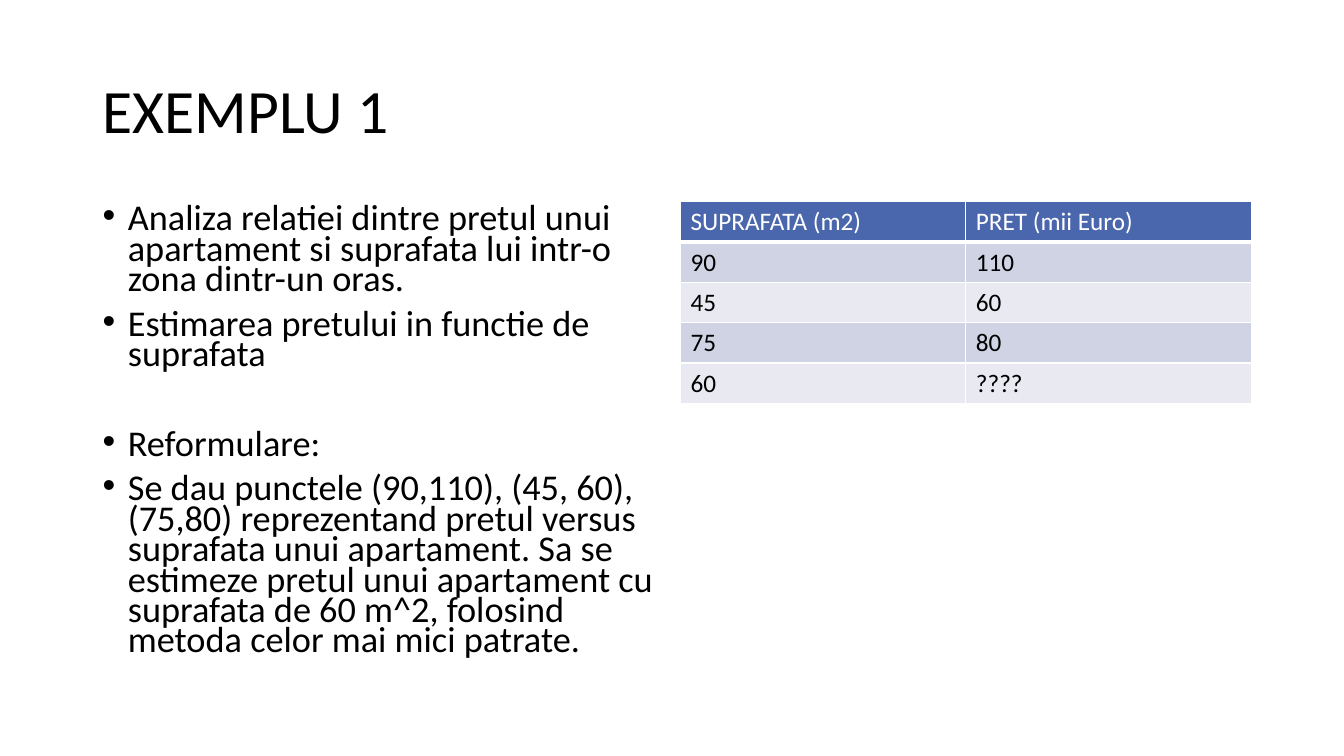
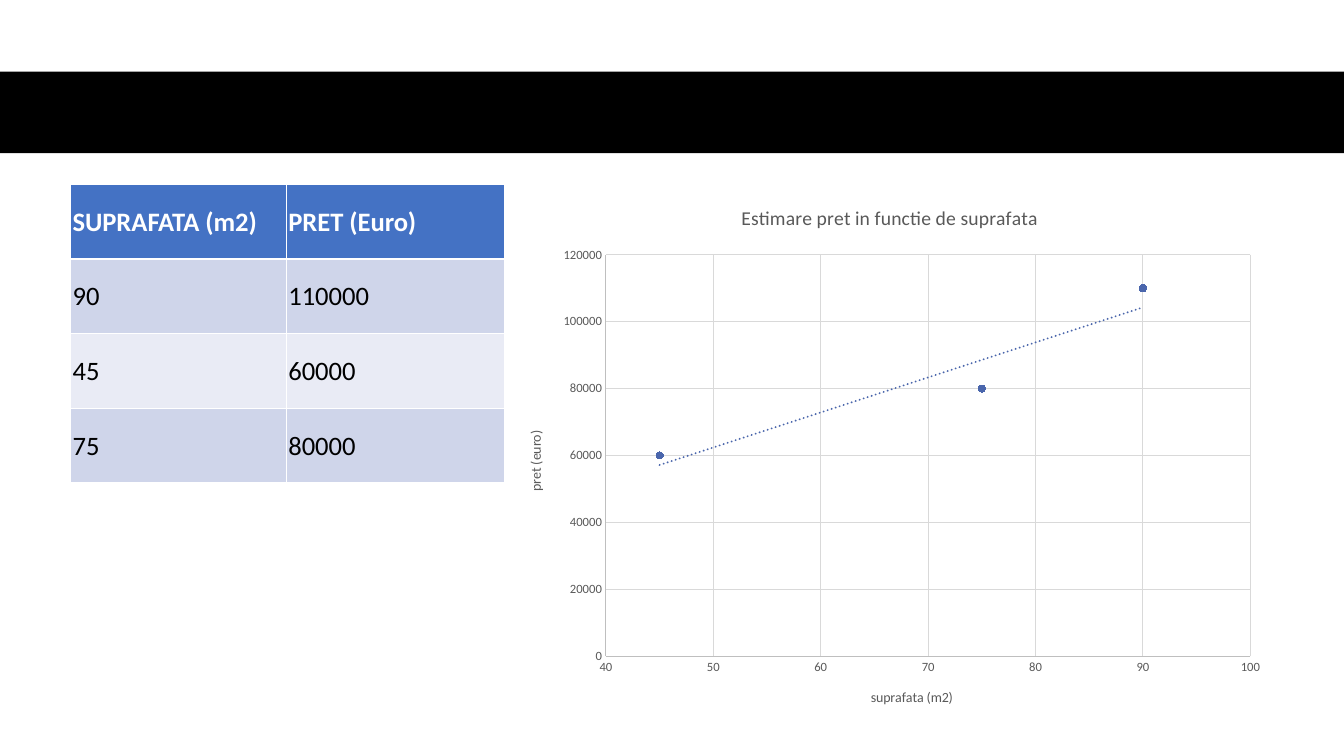
"""Build two slides that estimate the price of an apartment from its area."""
from lxml import etree
from pptx import Presentation
from pptx.chart.data import XyChartData
from pptx.dml.color import RGBColor
from pptx.enum.chart import XL_CHART_TYPE as ChartType, XL_MARKER_STYLE as Marker, XL_TICK_MARK as Tick
from pptx.enum.shapes import MSO_SHAPE as Preset
from pptx.enum.text import MSO_ANCHOR as Anchor, PP_ALIGN as Align
from pptx.oxml import parse_xml
from pptx.oxml.ns import nsdecls, qn
from pptx.util import Inches, Pt

FONT = "Calibri"
BLACK, WHITE, GRAY = "000000", "FFFFFF", "595959"
ACCENT, AXIS_LINE, GRID_LINE = "4A66AC", "BFBFBF", "D9D9D9"
color = RGBColor.from_string


def write_text(paragraph, text, size=18, fill=BLACK, bold=False, align=None,
               line_spacing=None, space_before=None, bullet=None):
    """Write one formatted paragraph."""
    if bullet:
        properties = paragraph._p.get_or_add_pPr()
        properties.set("marL", str(Inches(0.25)))
        properties.set("indent", str(Inches(-0.25)))
        etree.SubElement(properties, qn("a:buFont")).set("typeface", "Arial")
        etree.SubElement(properties, qn("a:buChar")).set("char", bullet)
    if align is not None:
        paragraph.alignment = align
    if line_spacing is not None:
        paragraph.line_spacing = line_spacing
    if space_before is not None:
        paragraph.space_before = Pt(space_before)
    run = paragraph.add_run()
    run.text = text
    run.font.name = FONT
    run.font.size = Pt(size)
    run.font.bold = bold
    run.font.color.rgb = color(fill)


def add_data_table(slide, rows, left, top, widths, row_height, fills, header_line,
                   size=18, bold_header=False, anchor=Anchor.TOP, margins=None):
    """Add a table with a header, banded rows and white cell borders."""
    frame = slide.shapes.add_table(len(rows), len(widths), Inches(left), Inches(top),
                                   Inches(sum(widths)), Inches(row_height * len(rows)))
    table = frame.table
    for column, width in zip(table.columns, widths):
        column.width = Inches(width)
    header_fill, *bands = fills
    for row_index, values in enumerate(rows):
        table.rows[row_index].height = Inches(row_height)
        header = row_index == 0
        for column_index, value in enumerate(values):
            cell = table.cell(row_index, column_index)
            cell.vertical_anchor = anchor
            if margins:
                cell.margin_left, cell.margin_top, cell.margin_right, cell.margin_bottom = map(Inches, margins)
            for side in "LRTB":
                thick = (header and side == "B") or (row_index == 1 and side == "T")
                cell._tc.get_or_add_tcPr().append(parse_xml(
                    f'<a:ln{side} {nsdecls("a")} w="{Pt(header_line if thick else 1)}">'
                    f'<a:solidFill><a:srgbClr val="{WHITE}"/></a:solidFill></a:ln{side}>'))
            cell.fill.solid()
            cell.fill.fore_color.rgb = color(header_fill if header else bands[(row_index - 1) % 2])
            write_text(cell.text_frame.paragraphs[0], value, size=size,
                       fill=WHITE if header else BLACK, bold=header and bold_header)


presentation = Presentation()
presentation.slide_width = Inches(13.33)
presentation.slide_height = Inches(7.5)

slide = presentation.slides.add_slide(presentation.slide_layouts[5])
title = slide.shapes.title
title.left, title.top, title.width, title.height = map(Inches, (0.92, 0.4, 11.5, 1.45))
title.text_frame.vertical_anchor = Anchor.MIDDLE
write_text(title.text_frame.paragraphs[0], "EXEMPLU 1", size=44, align=Align.LEFT, line_spacing=0.9)

bullets = [
    ("Analiza relatiei dintre pretul unui apartament si suprafata lui intr-o zona dintr-un oras.", None),
    ("Estimarea pretului in functie de suprafata", 10),
    ("Reformulare:", 42),
    ("Se dau punctele (90,110), (45, 60), (75,80) reprezentand pretul versus suprafata unui "
     "apartament. Sa se estimeze pretul unui apartament cu suprafata de 60 m^2, folosind "
     "metoda celor mai mici patrate.", 10),
]
body = slide.shapes.add_textbox(Inches(0.92), Inches(2), Inches(5.67), Inches(4.76)).text_frame
body.word_wrap = True
for index, (text, gap) in enumerate(bullets):
    paragraph = body.add_paragraph() if index else body.paragraphs[0]
    write_text(paragraph, text, size=25.9, line_spacing=0.7, space_before=gap, bullet="•")

add_data_table(
    slide,
    [("SUPRAFATA (m2)", "PRET (mii Euro)"), ("90", "110"), ("45", "60"), ("75", "80"), ("60", "????")],
    left=6.75, top=2, widths=(2.83, 2.83), row_height=0.4,
    fills=(ACCENT, "D0D3E3", "E9EAF1"), header_line=3)

slide = presentation.slides.add_slide(presentation.slide_layouts[6])
band = slide.shapes.add_shape(Preset.RECTANGLE, 0, Inches(0.71), presentation.slide_width, Inches(0.81))
band.shadow.inherit = False
band.fill.solid()
band.fill.fore_color.rgb = color(BLACK)
band.line.fill.background()

points = [(90, 110000), (45, 60000), (75, 80000)]
chart_data = XyChartData()
price_data = chart_data.add_series("Series 1")
for area, price in points:
    price_data.add_data_point(area, price)
chart = slide.shapes.add_chart(ChartType.XY_SCATTER, Inches(5.02), Inches(1.83),
                               Inches(7.61), Inches(5.38), chart_data).chart
chart.has_legend = False
chart.font.name = FONT
chart.font.size = Pt(10)
chart.font.color.rgb = color(BLACK)
chart.plots[0].vary_by_categories = False
chart.has_title = True
chart.chart_title.include_text_in_layout = False
write_text(chart.chart_title.text_frame.paragraphs[0], "Estimare pret in functie de suprafata",
           size=14, fill=GRAY)

for axis, name, low, high, step in (
        (chart.category_axis, "suprafata (m2)", 40, 100, 10),
        (chart.value_axis, "pret (euro)", 0, 120000, 20000)):
    axis.minimum_scale, axis.maximum_scale, axis.major_unit = low, high, step
    axis.major_tick_mark = axis.minor_tick_mark = Tick.NONE
    axis.tick_labels.font.name = FONT
    axis.tick_labels.font.size = Pt(9)
    axis.tick_labels.font.color.rgb = color(GRAY)
    axis.has_major_gridlines = True
    for line, shade in ((axis.format.line, AXIS_LINE), (axis.major_gridlines.format.line, GRID_LINE)):
        line.color.rgb = color(shade)
        line.width = Pt(0.75)
    axis.has_title = True
    write_text(axis.axis_title.text_frame.paragraphs[0], name, size=10, fill=GRAY)

series = chart.plots[0].series[0]
series.smooth = False
series.format.line.fill.background()
series.marker.style = Marker.CIRCLE
series.marker.size = 5
series.marker.format.fill.solid()
series.marker.format.fill.fore_color.rgb = color(ACCENT)
series.marker.format.line.color.rgb = color(ACCENT)
series._element.find(qn("c:xVal")).addprevious(parse_xml(
    f'<c:trendline {nsdecls("c", "a")}><c:spPr><a:ln w="{Pt(1.5)}" cap="rnd"><a:solidFill>'
    f'<a:srgbClr val="{ACCENT}"/></a:solidFill><a:prstDash val="sysDot"/></a:ln></c:spPr>'
    '<c:trendlineType val="linear"/><c:dispRSqr val="0"/><c:dispEq val="0"/></c:trendline>'))

plot_area = chart._chartSpace.chart.plotArea
for layout in plot_area.findall(qn("c:layout")):
    plot_area.remove(layout)
plot_area.insert(0, parse_xml(
    f'<c:layout {nsdecls("c")}><c:manualLayout><c:layoutTarget val="inner"/>'
    '<c:xMode val="edge"/><c:yMode val="edge"/><c:x val="0.13"/><c:y val="0.13"/>'
    '<c:w val="0.84"/><c:h val="0.74"/></c:manualLayout></c:layout>'))

add_data_table(
    slide,
    [("SUPRAFATA (m2)", "PRET (Euro)")] + [(str(area), str(price)) for area, price in points],
    left=0.7, top=1.83, widths=(2.14, 2.17), row_height=0.74,
    fills=("4472C4", "CFD5EA", "E9EBF5"), header_line=1.5, size=19, bold_header=True,
    anchor=Anchor.MIDDLE, margins=(0.02, 0.01, 0.02, 0))

presentation.save("out.pptx")
